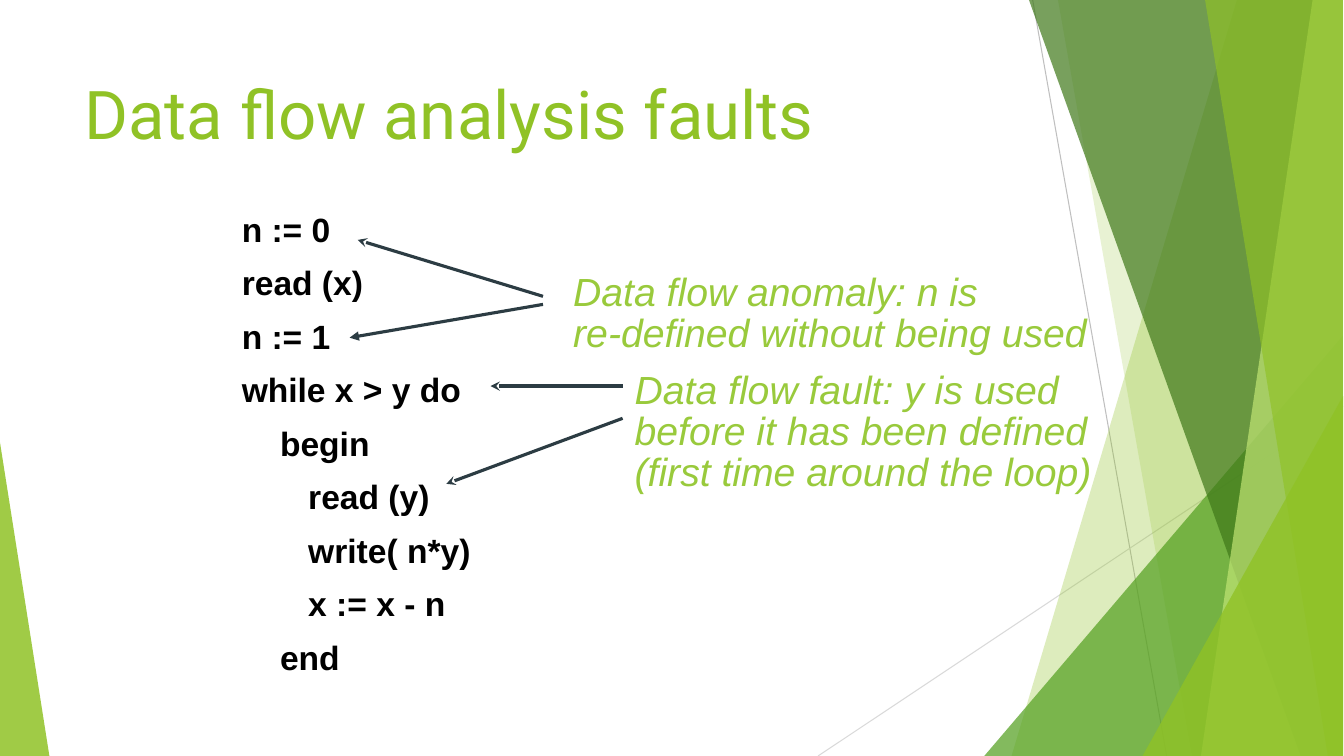
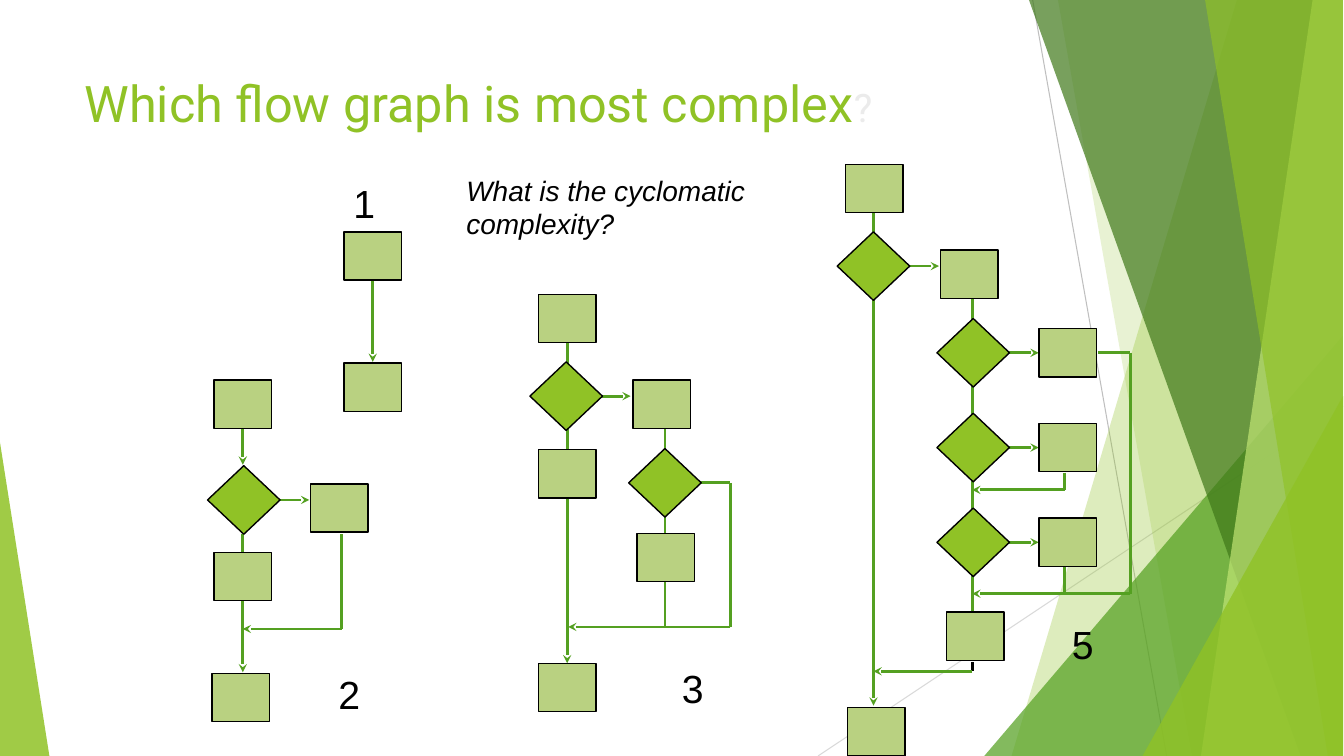
from pptx import Presentation
from pptx.dml.color import RGBColor
from pptx.enum.shapes import MSO_CONNECTOR, MSO_SHAPE
from pptx.enum.text import MSO_ANCHOR
from pptx.oxml.ns import qn
from pptx.util import Inches, Pt
from lxml.etree import SubElement

COLORS = {
    "lime": "90C226", "green": "54A021", "forest": "3F7819", "pale": "C0E474",
    "block": "B9D181", "note": "99CA3C", "ink": "000000", "slate": "2C3C43",
    "rule_dark": "BFBFBF", "rule_light": "D9D9D9", "faint": "EBEBEB",
}
WIDTH, HEIGHT = 13.34, 7.5
EDGE = 13.33
BLOCK = (0.57, 0.48)
DIAMOND = (0.72, 0.68)
BRANCH_PITCH = 0.94


def rgb(name):
    return RGBColor.from_string(COLORS[name])


def add_text(slide, box, paragraphs, size=28, color="ink", font="Arial", bold=False,
             italic=False, inset=(0.1, 0.05), spacing=None, before=0):
    """Each paragraph is a string, or (indent, runs) with runs of (text, format overrides)."""
    frame = slide.shapes.add_textbox(*map(Inches, box)).text_frame
    frame.word_wrap = True
    frame.vertical_anchor = MSO_ANCHOR.TOP
    frame.margin_left = frame.margin_right = Inches(inset[0])
    frame.margin_top = frame.margin_bottom = Inches(inset[1])
    for index, content in enumerate(paragraphs):
        indent, runs = (0, [(content, {})]) if isinstance(content, str) else content
        paragraph = frame.add_paragraph() if index else frame.paragraphs[0]
        paragraph.space_before = Pt(before)
        if spacing:
            paragraph.line_spacing = spacing
        if indent:
            paragraph._p.get_or_add_pPr().set("marL", str(Inches(indent)))
        for text, override in runs:
            run = paragraph.add_run()
            run.text = text
            run.font.name = font
            run.font.bold, run.font.italic = bold, italic
            run.font.size = Pt(override.get("size", size))
            run.font.color.rgb = rgb(override.get("color", color))


def add_line(slide, start, end, color, width, head=None):
    line = slide.shapes.add_connector(MSO_CONNECTOR.STRAIGHT, *map(Inches, (*start, *end)))
    line.line.color.rgb = rgb(color)
    line.line.width = Pt(width)
    properties = line._element.spPr
    if head:
        SubElement(properties.find(qn("a:ln")), qn("a:tailEnd"), type=head)
    SubElement(properties, qn("a:effectLst"))


def paint(shape, fill, alpha=None, outline=None):
    shape.shadow.inherit = False
    shape.fill.solid()
    shape.fill.fore_color.rgb = rgb(fill)
    if alpha:
        color = shape._element.spPr.find(qn("a:solidFill"))[0]
        SubElement(color, qn("a:alpha"), val=str(alpha * 1000))
    if outline:
        shape.line.color.rgb = rgb(outline)
        shape.line.width = Pt(1)
    else:
        shape.line.fill.background()


def add_band(slide, top_left, bottom_left, fill, alpha):
    """Full-height panel with a slanted left side, ending at the right edge."""
    corners = [(EDGE, -0.01), (EDGE, HEIGHT), (bottom_left, HEIGHT)]
    outline = slide.shapes.build_freeform(Inches(top_left), Inches(-0.01))
    outline.add_line_segments([(Inches(x), Inches(y)) for x, y in corners], close=True)
    paint(outline.convert_to_shape(), fill, alpha)


def add_corner(slide, left, right, top, apex, fill, alpha):
    """Right triangle standing on the bottom edge; apex is 0 (left) or 1 (right)."""
    corner = slide.shapes.add_shape(
        MSO_SHAPE.ISOSCELES_TRIANGLE, Inches(left), Inches(top),
        Inches(right - left), Inches(HEIGHT - top))
    corner.adjustments[0] = apex
    paint(corner, fill, alpha)


def add_backdrop(slide):
    add_line(slide, (10.25, 0), (11.58, HEIGHT), "rule_dark", 0.75)
    add_line(slide, (EDGE, 4.03), (8.12, HEIGHT), "rule_light", 0.75)
    add_band(slide, 12.28, 10.04, "lime", 30)
    add_band(slide, 10.5, 11.83, "lime", 20)
    add_corner(slide, 9.77, EDGE, 3.33, 1, "green", 72)
    add_band(slide, 10.21, 12.91, "forest", 70)
    add_band(slide, 13.03, 11.92, "pale", 70)
    add_band(slide, 11.96, 13.18, "lime", 65)
    add_corner(slide, 11.34, EDGE, 3.93, 1, "lime", 80)
    add_corner(slide, 0, 0.49, 4.39, 0, "lime", 85)


def add_titled_slide(deck, title_runs, size):
    slide = deck.slides.add_slide(deck.slide_layouts[6])
    add_backdrop(slide)
    add_text(slide, (0.74, 0.67, 9.4, 1.44), [(0, title_runs)],
             size=size, color="lime", font="Roboto")
    return slide


def add_annotation(slide, left, top, width, lines, arrows):
    """Note with arrows, given as (start, end, head) offsets from its top left."""
    add_text(slide, (left, top, width, 0.41 * len(lines) + 0.06), lines,
             color="note", italic=True, inset=(0.07, 0.03), spacing=0.87)
    for start, end, head in arrows:
        add_line(slide, (left + start[0], top + start[1]),
                 (left + end[0], top + end[1]), "slate", 2.25, head)


def build_faults_slide(deck):
    slide = add_titled_slide(deck, [("Data flow analysis faults", {})], 48)
    code = [
        (0, "n := 0"), (0, "read (x)"), (0, "n := 1"), (0, "while x > y do"),
        (0.38, "begin"), (0.66, "read (y)"), (0.66, "write( n*y)"),
        (0.66, "x := x - n"), (0.38, "end"),
    ]
    add_text(slide, (2.33, 2.09, 3.13, 4.65),
             [(indent, [(statement, {})]) for indent, statement in code],
             size=24, bold=True, inset=(0.07, 0.03), spacing=0.88, before=12.9)
    add_annotation(
        slide, 5.62, 2.69, 5.4,
        ["Data flow anomaly: n is", "re-defined without being used"],
        [((-0.23, 0.33), (-2.15, 0.66), "triangle"),
         ((-0.23, 0.25), (-2.07, -0.31), "stealth")])
    add_annotation(
        slide, 6.23, 3.66, 4.9,
        ["Data flow fault: y is used", "before it has been defined",
         "(first time around the loop)"],
        [((-0.05, 0.17), (-1.36, 0.17), "stealth"),
         ((-0.05, 0.49), (-1.8, 1.14), "stealth")])


def add_flow_graph(slide, spine, top, blocks, diamonds=(), arrows=(), links=(), stubs=()):
    """Nodes are centres and routes are point lists, offset from the spine and top."""
    def place(point):
        return spine + point[0], top + point[1]

    for routes, color, head in ((links, "green", None), (stubs, "ink", None),
                                (arrows, "green", "stealth")):
        for route in routes:
            points = [place(point) for point in route]
            for step, (start, end) in enumerate(zip(points, points[1:]), 2):
                add_line(slide, start, end, color, 2, head if step == len(points) else None)

    for centres, preset, (width, height), fill in (
            (blocks, MSO_SHAPE.RECTANGLE, BLOCK, "block"),
            (diamonds, MSO_SHAPE.DIAMOND, DIAMOND, "lime")):
        for x, y in map(place, centres):
            node = slide.shapes.add_shape(
                preset, Inches(x - width / 2), Inches(y - height / 2),
                Inches(width), Inches(height))
            paint(node, fill, outline="ink")


def build_graphs_slide(deck):
    slide = add_titled_slide(
        deck, [("Which flow graph is most complex", {}),
               ("?", {"size": 28, "color": "faint"})], 36)
    branches = [1.87 + BRANCH_PITCH * row for row in range(3)]
    add_flow_graph(
        slide, 8.67, 1.63,
        blocks=[(0.01, 0.24), (0.95, 1.09), *((1.93, y) for y in branches),
                (1.01, 4.68), (0.03, 5.63)],
        diamonds=[(0, 1.01), *((0.99, y) for y in branches)],
        arrows=[[(0, 0.42), (0, 5.37)],
                [(0.23, 1.01), (0.65, 1.01)],
                *([(1.22, y), (1.64, y)] for y in branches),
                [(1.9, 3.06), (1.9, 3.23), (0.98, 3.23)],
                [(2.23, 1.87), (2.55, 1.87), (2.55, 4.26), (0.98, 4.26)],
                [(0.98, 5.03), (0, 5.03)]],
        links=[[(0.98, 1.19), (0.98, 4.43)], [(1.9, 4), (1.9, 4.26)]],
        stubs=[[(0.98, 4.94), (0.98, 5.03)]])
    add_flow_graph(
        slide, 3.7, 2.3,
        blocks=[(0, 0.24), (0, 1.54)],
        arrows=[[(0, 0.3), (0, 1.29)]])
    add_flow_graph(
        slide, 5.63, 2.92,
        blocks=[(0, 0.24), (0.94, 1.09), (0, 1.78), (0.98, 2.61), (0, 3.9)],
        diamonds=[(-0.01, 1.01), (0.97, 1.87)],
        arrows=[[(0, 0.4), (0, 3.66)],
                [(0.21, 1.01), (0.63, 1.01)],
                [(1.13, 1.87), (1.62, 1.87), (1.62, 3.3), (0.01, 3.3)]],
        links=[[(0.97, 1.24), (0.97, 3.3)]])
    add_flow_graph(
        slide, 2.41, 3.77,
        blocks=[(0, 0.24), (0.96, 1.27), (0, 1.95), (-0.02, 3.15)],
        diamonds=[(0.01, 1.19)],
        arrows=[[(0, 0.3), (0, 0.84)],
                [(0, 1.53), (0, 2.9)],
                [(0.24, 1.19), (0.66, 1.19)],
                [(0.98, 1.53), (0.98, 2.47), (0, 2.47)]])
    for number, left, top in (("1", 3.41, 1.73), ("2", 3.26, 6.6),
                              ("3", 6.67, 6.54), ("5", 10.54, 6.1)):
        add_text(slide, (left, top, 0.5, 0.57), [number])
    add_text(slide, (4.53, 1.67, 3.81, 0.77), ["What is the cyclomatic complexity?"],
             size=20, italic=True)


def main():
    deck = Presentation()
    deck.slide_width, deck.slide_height = Inches(WIDTH), Inches(HEIGHT)
    build_faults_slide(deck)
    build_graphs_slide(deck)
    deck.save("out.pptx")


if __name__ == "__main__":
    main()
